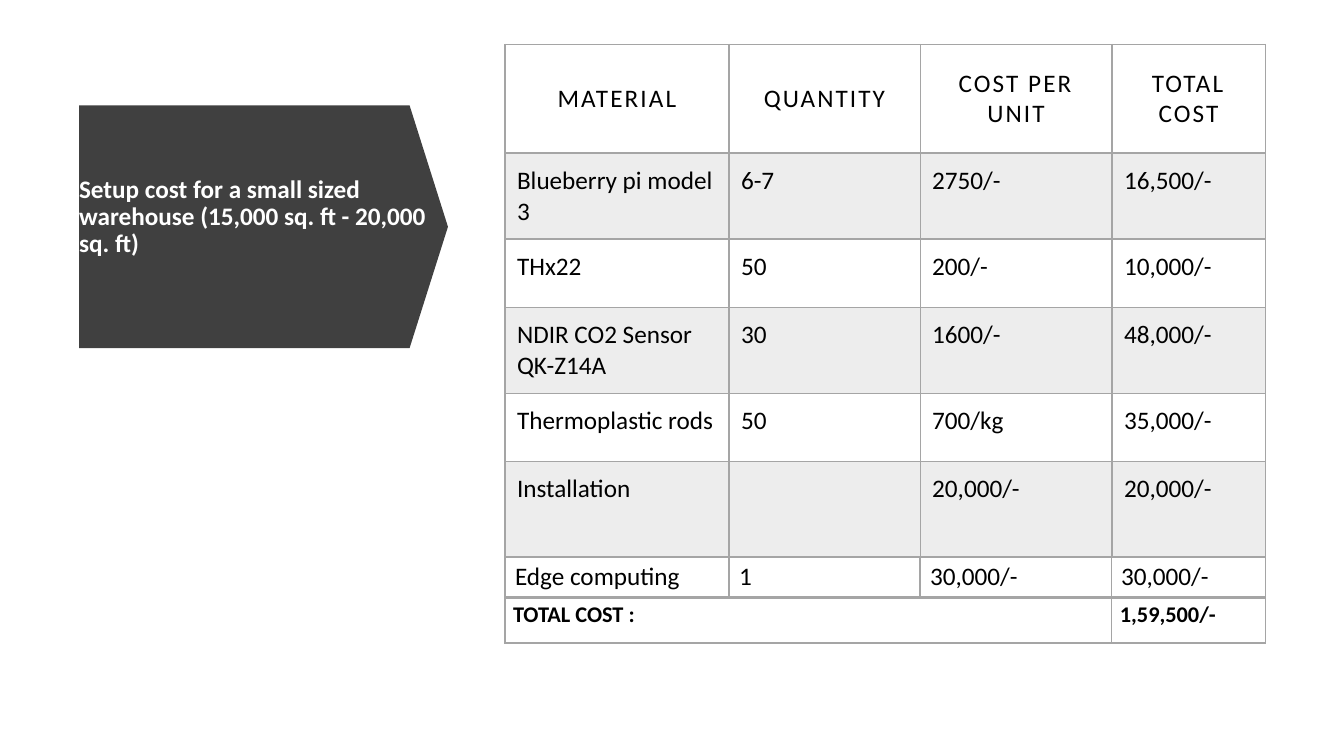
from lxml.etree import SubElement
from pptx import Presentation
from pptx.dml.color import RGBColor
from pptx.enum.shapes import MSO_SHAPE
from pptx.enum.text import MSO_ANCHOR, MSO_AUTO_SIZE, PP_ALIGN
from pptx.oxml import parse_xml
from pptx.oxml.ns import nsdecls, qn
from pptx.util import Pt

WHITE = RGBColor(0xFF, 0xFF, 0xFF)
BLACK = RGBColor(0, 0, 0)
CHARCOAL = RGBColor(0x40, 0x40, 0x40)
GREY = RGBColor(0xA5, 0xA5, 0xA5)
SIDES = ("left", "right", "top", "bottom")
TABLE_LEFT, TABLE_WIDTH = 360.7, 543

MATERIALS = [
    ["MATERIAL", "QUANTITY", "COST PER UNIT", "TOTAL COST"],
    ["Blueberry pi model 3", "6-7", "2750/-", "16,500/-"],
    ["THx22", "50", "200/-", "10,000/-"],
    ["NDIR CO2 Sensor QK-Z14A", "30", "1600/-", "48,000/-"],
    ["Thermoplastic rods", "50", "700/kg", "35,000/-"],
    ["Installation", "", "20,000/-", "20,000/-"],
]
EDGE = [["Edge computing", "1", "30,000/-", "30,000/-"]]
TOTAL = [["TOTAL COST :", "1,59,500/-"]]


def set_values(target, values):
    for name, value in values.items():
        setattr(target, name, value)


def write_text(paragraph, text, size, color, bold=False):
    run = paragraph.add_run()
    run.text = text
    set_values(run.font, {"name": "Calibri", "size": Pt(size), "bold": bold})
    run.font.color.rgb = color
    return run


def set_borders(cell, widths):
    properties = cell._tc.get_or_add_tcPr()
    for index, (side, width) in enumerate(zip("LRTB", widths)):
        properties.insert(index, parse_xml(
            f'<a:ln{side} {nsdecls("a")} w="{Pt(width)}"><a:solidFill>'
            f'<a:srgbClr val="{GREY}"/></a:solidFill></a:ln{side}>'))


def add_title_arrow(slide, left, top, width, height):
    # Arrow turned to point right; its unrotated box shares the same centre
    arrow = slide.shapes.add_shape(
        MSO_SHAPE.DOWN_ARROW, Pt(left + (width - height) / 2),
        Pt(top + (height - width) / 2), Pt(height), Pt(width))
    arrow.rotation = 270
    arrow.adjustments[0], arrow.adjustments[1] = 1, 0.158
    arrow.shadow.inherit = False
    arrow.fill.solid()
    arrow.fill.fore_color.rgb = CHARCOAL
    arrow.line.fill.background()

    # Title in front of the arrow
    title = slide.shapes.title
    set_values(title, {"left": Pt(left - 7.2), "top": Pt(top + 19.6),
                       "width": Pt(width + 12.3), "height": Pt(140.4)})
    arrow._element.addnext(title._element)
    frame = title.text_frame
    set_values(frame, {"word_wrap": True, "auto_size": MSO_AUTO_SIZE.NONE,
                       "vertical_anchor": MSO_ANCHOR.MIDDLE,
                       "margin_left": Pt(7.2), "margin_right": Pt(7.2),
                       "margin_top": Pt(3.6), "margin_bottom": Pt(23)})
    paragraph = frame.paragraphs[0]
    set_values(paragraph, {"alignment": PP_ALIGN.LEFT, "line_spacing": 0.9})
    write_text(paragraph, "Setup cost for a small sized warehouse "
               "(15,000 sq. ft - 20,000 sq. ft)", 18, WHITE, True)


def add_cost_table(slide, top, rows, columns, heights, margins,
                   size=18, bold=False, header=False, bottom=1):
    table = slide.shapes.add_table(
        len(rows), len(columns), Pt(TABLE_LEFT), Pt(top),
        Pt(TABLE_WIDTH), Pt(sum(heights))).table
    set_values(table, {"first_row": False, "horz_banding": False})
    for column, width in zip(table.columns, columns):
        column.width = Pt(width)
    for index, (row, height, texts) in enumerate(zip(table.rows, heights, rows)):
        row.height = Pt(height)
        is_header = header and index == 0
        for cell, text in zip(row.cells, texts):
            set_values(cell, {f"margin_{side}": Pt(margin)
                              for side, margin in zip(SIDES, margins)})
            # Every second row is tinted grey
            if index % 2:
                cell.fill.solid()
                cell.fill.fore_color.rgb = GREY
                tint = cell._tc.tcPr.find(".//" + qn("a:srgbClr"))
                SubElement(tint, qn("a:alpha"), val="20000")
            else:
                cell.fill.background()
            top_width = 2 if header and index == 1 else 1
            set_borders(cell, (1, 1, top_width, 2 if is_header else bottom))
            if not text:
                continue
            paragraph = cell.text_frame.paragraphs[0]
            run = write_text(paragraph, text, size, BLACK, bold)
            if is_header:
                cell.vertical_anchor = MSO_ANCHOR.MIDDLE
                paragraph.alignment = PP_ALIGN.CENTER
                run.font._element.set("spc", "150")


def main():
    presentation = Presentation()
    set_values(presentation, {"slide_width": Pt(960), "slide_height": Pt(540)})
    slide = presentation.slides.add_slide(presentation.slide_layouts[5])
    add_title_arrow(slide, 56.5, 75.2, 263.5, 173.5)
    # Materials, then the grand total, then the edge computing row
    add_cost_table(slide, 31.7, MATERIALS, [160, 136.6, 137, 109.4],
                   [77.8, 49, 49, 49, 49, 68.4], [8.64] * 4, header=True)
    add_cost_table(slide, 426.2, TOTAL, [433.5, 109.5], [33.1],
                   [5.76, 5.76, 2.88, 2.88], size=16, bold=True, bottom=2)
    add_cost_table(slide, 397.4, EDGE, [160, 136.5, 136.5, 110], [29.5],
                   [7.2, 7.2, 3.6, 3.6], bottom=2)
    presentation.save("out.pptx")


if __name__ == "__main__":
    main()
